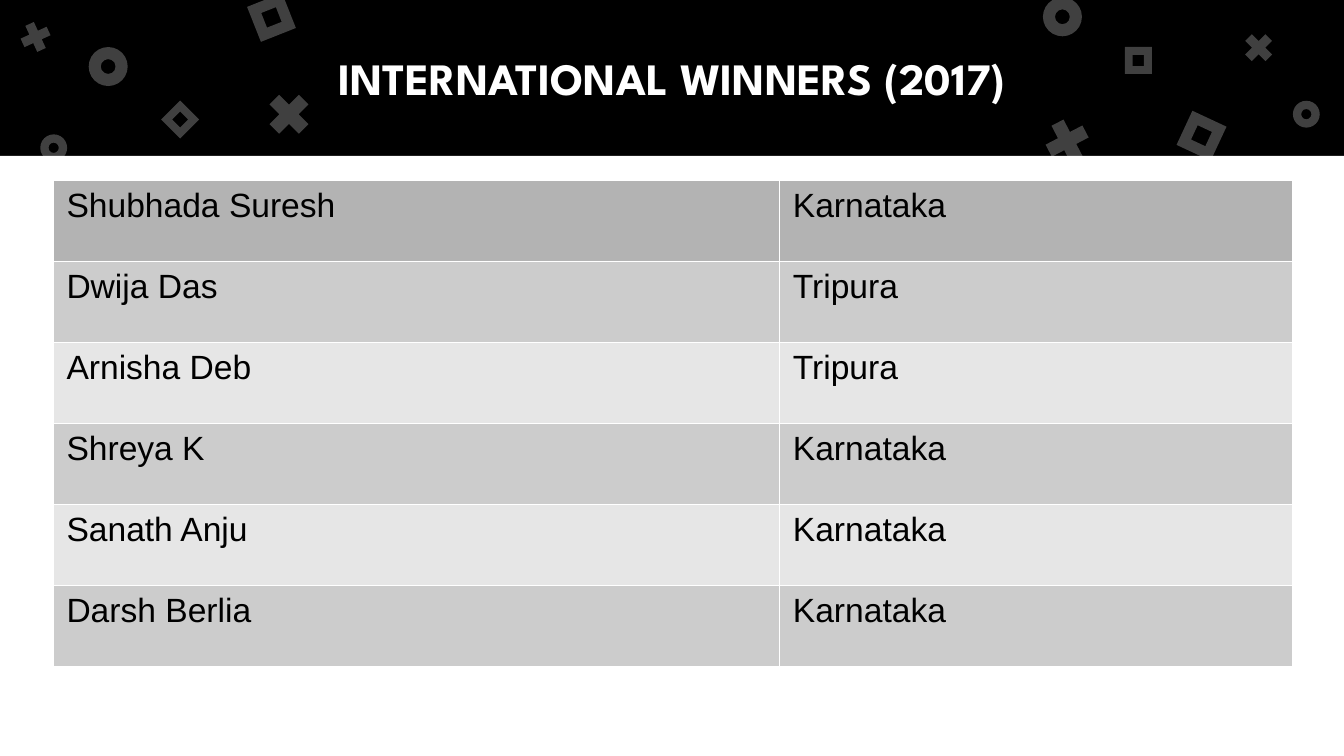
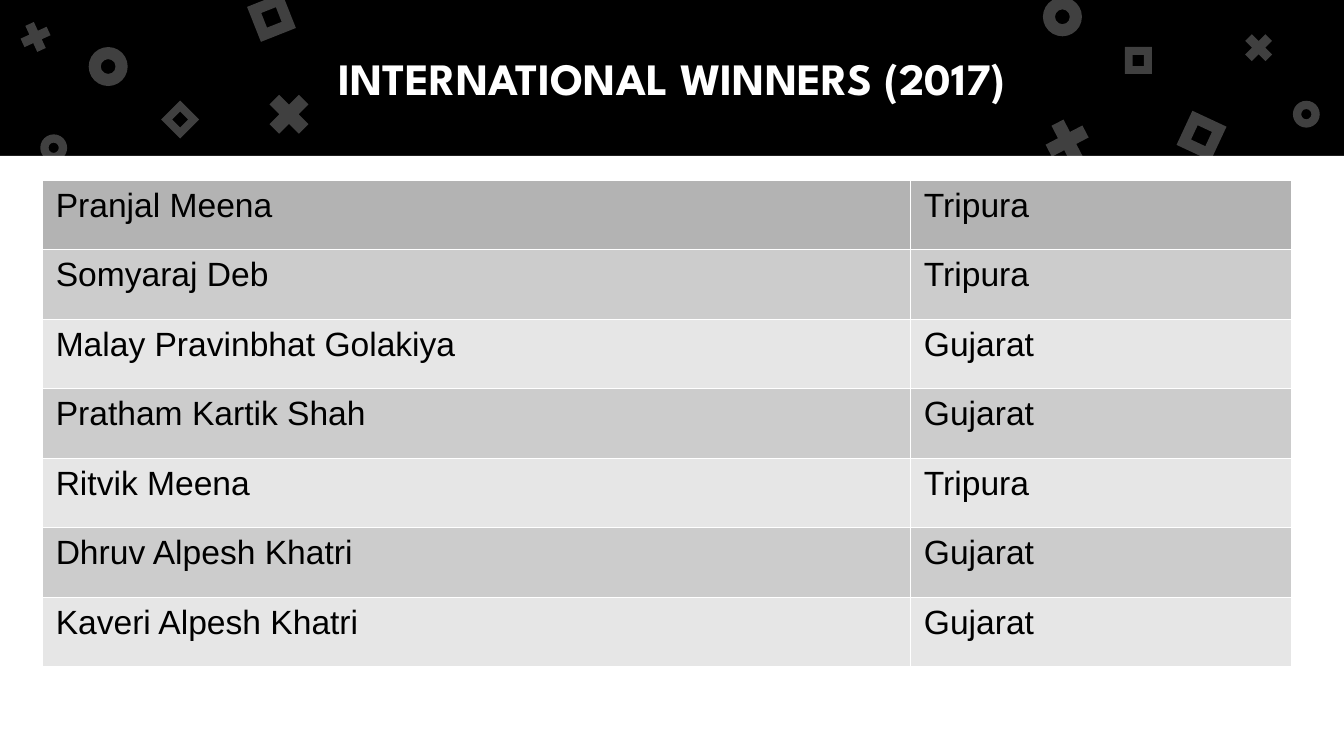
from dataclasses import dataclass

from lxml.etree import SubElement
from pptx import Presentation
from pptx.dml.color import RGBColor
from pptx.enum.shapes import MSO_SHAPE
from pptx.enum.text import MSO_ANCHOR, PP_ALIGN
from pptx.oxml.ns import qn
from pptx.util import Inches, Pt

SLIDE_WIDTH = Inches(10)
SLIDE_HEIGHT = SLIDE_WIDTH * 9 // 16
COLUMNS = 100
ROWS = COLUMNS * 9 / 16
GRID_UNIT = SLIDE_WIDTH / COLUMNS

BACKGROUND = "7BD100"
BLACK = "000000"
WHITE = "FFFFFF"
FIRST_ROW = "B3B3B3"
ROW_BANDS = ("E6E6E6", "CCCCCC")
TITLE_FONT = "League Spartan"
BODY_FONT = "Arial"
CONFETTI_ALPHA = 25
BAND_ROWS = 11.6
TABLE_TOP = 13.4
TABLE_ROWS = 36.2

RING = MSO_SHAPE.DONUT
CROSS = MSO_SHAPE.MATH_MULTIPLY
SQUARE = MSO_SHAPE.FRAME
THICKNESS = {RING: 0.31, CROSS: 0.24, SQUARE: 0.29}


@dataclass(frozen=True)
class Confetti:
    kind: MSO_SHAPE
    column: float
    row: float
    size: float
    rotation: float = 0


@dataclass(frozen=True)
class WinnersSlide:
    title: str
    left: float
    column_widths: tuple[float, ...]
    winners: tuple[tuple[str, str], ...]


CONFETTI = (
    Confetti(RING, 6.6, 3.5, 2.9),
    Confetti(CROSS, 19.4, 6.4, 4.2),
    Confetti(SQUARE, 18.8, -0.1, 2.8, 338.4),
    Confetti(RING, 77.6, -0.2, 2.9),
    Confetti(CROSS, 77.3, 8.4, 4.2, 17.5),
    Confetti(SQUARE, 88, 8.7, 2.8, 25),
    Confetti(RING, 3, 10, 2),
    Confetti(CROSS, 1.2, 1.3, 2.9, 20.4),
    Confetti(SQUARE, 12.4, 7.9, 2, 45),
    Confetti(RING, 96.2, 7.5, 2),
    Confetti(CROSS, 92.2, 2.1, 2.9),
    Confetti(SQUARE, 83.7, 3.5, 2),
)

WINNERS_SLIDES = (
    WinnersSlide(
        "INTERNATIONAL WINNERS (2017)",
        3.95,
        (54.05, 38.15),
        (
            ("Shubhada Suresh", "Karnataka"),
            ("Dwija Das", "Tripura"),
            ("Arnisha Deb", "Tripura"),
            ("Shreya K", "Karnataka"),
            ("Sanath Anju", "Karnataka"),
            ("Darsh Berlia", "Karnataka"),
        ),
    ),
    WinnersSlide(
        "INTERNATIONAL WINNERS (2017)",
        3.15,
        (64.6, 28.3),
        (
            ("Pranjal Meena", "Tripura"),
            ("Somyaraj Deb", "Tripura"),
            ("Malay Pravinbhat Golakiya", "Gujarat"),
            ("Pratham Kartik Shah", "Gujarat"),
            ("Ritvik Meena", "Tripura"),
            ("Dhruv Alpesh Khatri", "Gujarat"),
            ("Kaveri Alpesh Khatri", "Gujarat"),
        ),
    ),
)


def grid(count: float) -> int:
    return round(count * GRID_UNIT)


def paint(fill, color: str) -> None:
    fill.solid()
    fill.fore_color.rgb = RGBColor.from_string(color)


def style_font(font, name: str, size: float, color: str, bold: bool = False) -> None:
    font.name = name
    font.size = Pt(size)
    font.bold = bold
    paint(font.fill, color)


def add_filled(slide, kind, column: float, row: float, width: float, height: float, color: str):
    shape = slide.shapes.add_shape(kind, grid(column), grid(row), grid(width), grid(height))
    shape.shadow.inherit = False
    shape.line.fill.background()
    paint(shape.fill, color)
    return shape


def add_confetti(slide, piece: Confetti) -> None:
    shape = add_filled(slide, piece.kind, piece.column, piece.row, piece.size, piece.size, WHITE)
    shape.adjustments[0] = THICKNESS[piece.kind]
    shape.rotation = piece.rotation
    color = shape.fill._xPr.find(qn("a:solidFill"))[0]
    SubElement(color, qn("a:alpha"), val=str(CONFETTI_ALPHA * 1000))


def add_backdrop(slide) -> None:
    paint(slide.background.fill, BACKGROUND)
    add_filled(slide, MSO_SHAPE.RECTANGLE, 0, 0, COLUMNS, BAND_ROWS, BLACK)
    add_filled(slide, MSO_SHAPE.RECTANGLE, 0, BAND_ROWS, COLUMNS, ROWS - BAND_ROWS, WHITE)
    for piece in CONFETTI:
        add_confetti(slide, piece)


def add_title(slide, title: str) -> None:
    heading = slide.shapes.add_textbox(grid(5), 0, grid(90), grid(BAND_ROWS)).text_frame
    heading.word_wrap = True
    heading.vertical_anchor = MSO_ANCHOR.MIDDLE
    heading.margin_top = heading.margin_bottom = grid(1)
    paragraph = heading.paragraphs[0]
    paragraph.text = title
    paragraph.alignment = PP_ALIGN.CENTER
    style_font(paragraph.font, TITLE_FONT, 24, WHITE, bold=True)


def add_borders(cell) -> None:
    properties = cell._tc.get_or_add_tcPr()
    for side in ("lnL", "lnR", "lnT", "lnB"):
        border = SubElement(properties, qn(f"a:{side}"), w=str(Pt(0.06)))
        solid = SubElement(border, qn("a:solidFill"))
        SubElement(solid, qn("a:srgbClr"), val=WHITE)


def add_winners(slide, content: WinnersSlide) -> None:
    row_count = len(content.winners)
    table = slide.shapes.add_table(
        row_count,
        len(content.column_widths),
        grid(content.left),
        grid(TABLE_TOP),
        grid(sum(content.column_widths)),
        grid(TABLE_ROWS),
    ).table
    table.first_row = table.horz_banding = False
    for column, width in zip(table.columns, content.column_widths):
        column.width = grid(width)
    for index, winner in enumerate(content.winners):
        table.rows[index].height = grid(TABLE_ROWS / row_count)
        color = ROW_BANDS[index % 2] if index else FIRST_ROW
        for cell, entry in zip(table.rows[index].cells, winner):
            add_borders(cell)
            paint(cell.fill, color)
            paragraph = cell.text_frame.paragraphs[0]
            paragraph.text = entry
            style_font(paragraph.font, BODY_FONT, 18, BLACK)


def main() -> None:
    presentation = Presentation()
    presentation.slide_width = SLIDE_WIDTH
    presentation.slide_height = SLIDE_HEIGHT
    for content in WINNERS_SLIDES:
        slide = presentation.slides.add_slide(presentation.slide_layouts[6])
        add_backdrop(slide)
        add_title(slide, content.title)
        add_winners(slide, content)
    presentation.save("out.pptx")


if __name__ == "__main__":
    main()
